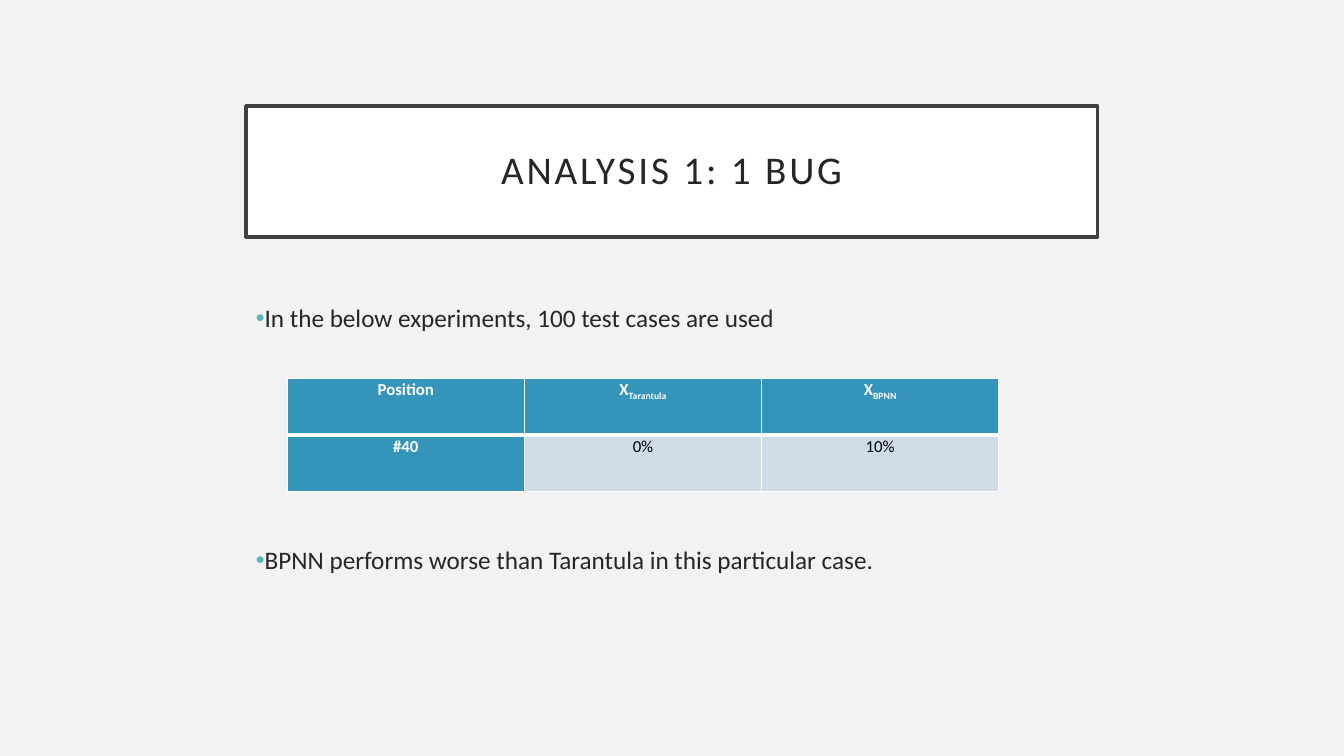
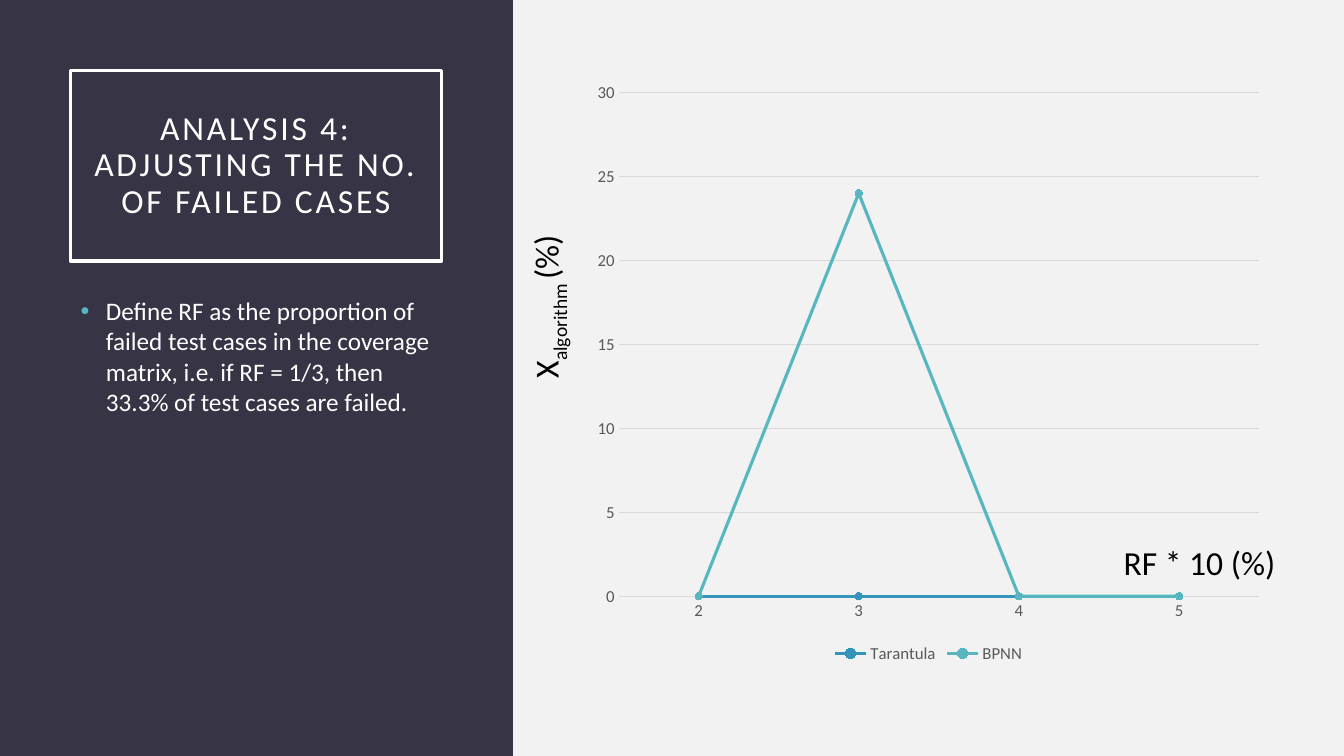
"""Build two slides on fault localisation results: a table and a line chart."""
from lxml.etree import SubElement
from pptx import Presentation
from pptx.chart.data import CategoryChartData as Data
from pptx.dml.color import RGBColor as RGB
from pptx.enum.chart import XL_CHART_TYPE as Kind
from pptx.enum.chart import XL_LEGEND_POSITION as Spot
from pptx.enum.chart import XL_MARKER_STYLE as Mark
from pptx.enum.chart import XL_TICK_MARK as Tick
from pptx.enum.shapes import MSO_SHAPE as Form
from pptx.enum.text import MSO_ANCHOR as Anchor
from pptx.enum.text import PP_ALIGN as Align
from pptx.oxml.ns import qn
from pptx.util import Cm, Pt

FONT = "Calibri"
PAPER = RGB(0xF2, 0xF2, 0xF2)
WHITE = RGB(0xFF, 0xFF, 0xFF)
BLACK = RGB(0, 0, 0)
INK = RGB(0x26, 0x26, 0x26)
FRAME = RGB(0x40, 0x40, 0x40)
NAVY = RGB(0x37, 0x35, 0x45)
BLUE = RGB(0x34, 0x94, 0xBA)
TEAL = RGB(0x58, 0xB6, 0xC0)
PALE = RGB(0xCE, 0xDC, 0xE7)
GRID = RGB(0xD9, 0xD9, 0xD9)
GREY = RGB(0x59, 0x59, 0x59)


class Deck:
    def __init__(self):
        self.file = Presentation()
        self.file.slide_width, self.file.slide_height = Cm(33.87), Cm(19.05)
        self.slide = None

    def page(self):
        self.slide = self.file.slides.add_slide(self.file.slide_layouts[6])
        self.slide.background.fill.solid()
        self.slide.background.fill.fore_color.rgb = PAPER

    def style(self, font, size, color, bold=False):
        font.name, font.size, font.bold = FONT, Pt(size), bold
        font.color.rgb = color

    def fill_in(self, para, runs, size, color, bold=False, space=0):
        for text, base in runs:
            run = para.add_run()
            run.text = text
            self.style(run.font, size, color, bold)
            props = run._r.get_or_add_rPr()
            if base:
                props.set("baseline", str(base * 1000))
            if space:
                props.set("spc", str(space * 100))

    def rect(self, box, fill=None, line=None):
        shape = self.slide.shapes.add_shape(Form.RECTANGLE, *map(Cm, box))
        shape.shadow.inherit = False
        if fill is None:
            shape.fill.background()
        else:
            shape.fill.solid()
            shape.fill.fore_color.rgb = fill
        if line is None:
            shape.line.fill.background()
        else:
            shape.line.color.rgb, shape.line.width = line, Pt(2.5)
        return shape

    def title(self, box, text, size, color, line, fill=None):
        frame = self.rect(box, fill, line).text_frame
        frame.word_wrap = True
        frame.vertical_anchor = Anchor.MIDDLE
        frame.margin_left = frame.margin_right = Cm(0.51)
        frame.margin_top = frame.margin_bottom = Cm(0.51)
        para = frame.paragraphs[0]
        para.alignment, para.line_spacing = Align.CENTER, 0.9
        self.fill_in(para, [(text, 0)], size, color, space=2)

    def text(self, box):
        frame = self.slide.shapes.add_textbox(*map(Cm, box)).text_frame
        frame.word_wrap = True
        return frame

    def points(self, box, items, color, indent=0, gap=0):
        frame = self.text(box)
        for num, item in enumerate(items):
            para = frame.add_paragraph() if num else frame.paragraphs[0]
            para.space_before = Pt(gap if num else 0)
            props = para._p.get_or_add_pPr()
            props.set("marL", str(Cm(indent)))
            props.set("indent", str(-Cm(indent)))
            tint = SubElement(props, qn("a:buClr"))
            SubElement(tint, qn("a:srgbClr"), val=str(TEAL))
            SubElement(props, qn("a:buFont"), typeface="Arial")
            SubElement(props, qn("a:buChar"), char="•")
            self.fill_in(para, [(item, 0)], 18, color)

    def label(self, box, runs, turn=False):
        frame = self.text(box)
        frame.vertical_anchor = Anchor.MIDDLE
        if turn:
            frame._txBody.bodyPr.set("vert", "vert270")
        para = frame.paragraphs[0]
        para.alignment = Align.CENTER
        self.fill_in(para, runs, 24, BLACK)

    def edge(self, cell, side, width):
        props = cell._tc.get_or_add_tcPr()
        line = SubElement(props, qn(f"a:ln{side}"), w=str(Pt(width)))
        fill = SubElement(line, qn("a:solidFill"))
        SubElement(fill, qn("a:srgbClr"), val=str(WHITE))

    def table(self, box, rows):
        size = len(rows), len(rows[0])
        grid = self.slide.shapes.add_table(*size, *map(Cm, box)).table
        for i, row in enumerate(rows):
            for j, runs in enumerate(row):
                cell, head = grid.cell(i, j), i == 0 or j == 0
                cell.margin_left = cell.margin_right = Cm(0.18)
                cell.margin_top = cell.margin_bottom = 0
                for side in "LRTB":
                    thick = (i, side) in ((0, "B"), (1, "T"))
                    self.edge(cell, side, 3 if thick else 1)
                cell.fill.solid()
                cell.fill.fore_color.rgb = BLUE if head else PALE
                para = cell.text_frame.paragraphs[0]
                para.alignment, para.line_spacing = Align.CENTER, 1.07
                self.fill_in(para, runs, 12, WHITE if head else BLACK, head)

    def axis(self, axis):
        axis.major_tick_mark = axis.minor_tick_mark = Tick.NONE
        self.style(axis.tick_labels.font, 12, GREY)

    def rule(self, line):
        line.color.rgb, line.width = GRID, Pt(0.75)

    def chart(self, box, names, rows):
        data = Data()
        data.categories = names
        for name, vals, _ in rows:
            data.add_series(name, vals)
        chart = self.slide.shapes.add_chart(
            Kind.LINE_MARKERS, *map(Cm, box), data).chart
        self.style(chart.font, 10, BLACK)
        chart.has_title = False
        chart.has_legend = True
        chart.legend.position = Spot.BOTTOM
        chart.legend.include_in_layout = False
        self.style(chart.legend.font, 12, GREY)
        cat, val = chart.category_axis, chart.value_axis
        self.axis(cat)
        self.axis(val)
        self.rule(cat.format.line)
        self.rule(val.major_gridlines.format.line)
        val.format.line.fill.background()
        val.minimum_scale, val.maximum_scale, val.major_unit = 0, 30, 5
        plot = chart.plots[0]
        plot.vary_by_categories = False
        for line, (_, _, color) in zip(plot.series, rows):
            line.smooth = False
            line.format.line.color.rgb = color
            line.format.line.width = Pt(2.25)
            mark = line.marker
            mark.style, mark.size = Mark.CIRCLE, 5
            mark.format.fill.solid()
            mark.format.fill.fore_color.rgb = color
            mark.format.line.color.rgb = color


def main():
    deck = Deck()
    deck.page()
    deck.title((6.2, 2.67, 21.46, 3.3), "ANALYSIS 1: 1 BUG", 28, INK,
               FRAME, WHITE)
    deck.points((6.2, 7.5, 21.46, 8.6), [
        "In the below experiments, 100 test cases are used",
        "BPNN performs worse than Tarantula in this particular case.",
    ], INK, gap=151)
    deck.table((7.24, 9.53, 17.93, 2.86), [
        [[("Position", 0)], [("X", 0), ("Tarantula", -25)],
         [("X", 0), ("BPNN", -25)]],
        [[("#40", 0)], [("0%", 0)], [("10%", 0)]],
    ])

    deck.page()
    deck.rect((0, 0, 12.93, 19.05), NAVY)
    deck.title((1.78, 1.78, 9.35, 4.8),
               "ANALYSIS 4: ADJUSTING THE NO. OF FAILED CASES", 24, WHITE,
               WHITE)
    deck.points((1.78, 7.32, 9.35, 9.5), [
        "Define RF as the proportion of failed test cases in the coverage "
        "matrix, i.e. if RF = 1/3, then 33.3% of test cases are failed.",
    ], WHITE, indent=0.64)
    deck.chart((14.71, 1.78, 17.37, 15.04), ["2", "3", "4", "5"], [
        ("Tarantula", (0, 0, 0, 0), BLUE),
        ("BPNN", (0, 24, 0, 0), TEAL),
    ])
    deck.label((13.31, 1.78, 1, 11.9),
               [("X", 0), ("algorithm ", -25), ("(%)", 0)], turn=True)
    deck.label((27.73, 13.66, 5, 1), [("RF * 10 (%)", 0)])
    deck.file.save("out.pptx")


if __name__ == "__main__":
    main()
